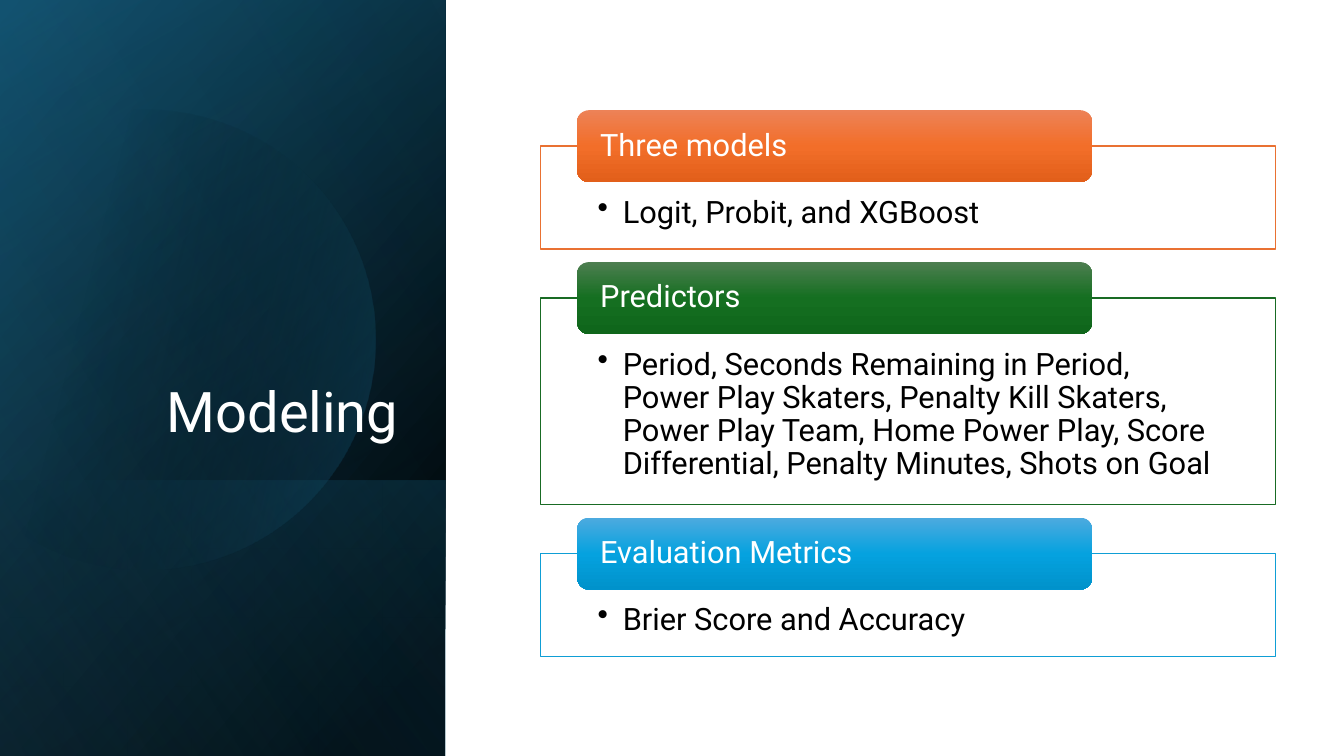
from dataclasses import dataclass
from math import cos, radians, sin, tan

from lxml.etree import SubElement
from pptx import Presentation
from pptx.dml.color import RGBColor
from pptx.enum.shapes import MSO_SHAPE
from pptx.enum.text import MSO_ANCHOR, PP_ALIGN
from pptx.oxml.ns import qn
from pptx.util import Pt


@dataclass(frozen=True)
class Theme:
    font: str = "Roboto"
    title_size: float = 40
    body_size: float = 22
    white: str = "FFFFFF"
    black: str = "000000"
    deep_blue: str = "104862"
    blue: str = "156082"
    sky: str = "46B1E1"


@dataclass(frozen=True)
class Stop:
    position: int
    color: str
    opacity: int = 100


@dataclass(frozen=True)
class Gradient:
    angle: int
    stops: tuple[Stop, ...]


@dataclass(frozen=True)
class Wash:
    top: float
    bottom: float
    gradient: Gradient


@dataclass(frozen=True)
class Section:
    heading: str
    detail: str
    height: float
    line: str
    shades: tuple[str, str, str]


THEME = Theme()
SLIDE_WIDTH, SLIDE_HEIGHT = 960, 540
SIDEBAR_WIDTH = 318.24
PANEL_LEFT, PANEL_WIDTH, PANEL_GAP, FIRST_PANEL_TOP = 385.9, 525.2, 34.9, 104.4
LABEL_LEFT, LABEL_WIDTH, LABEL_HEIGHT = 412.2, 368, 51.4
CIRCLE_X, CIRCLE_Y, CIRCLE_RADIUS = 104, 242.5, 164
ARC_START, ARC_STEP, ARC_COUNT = -134, 67, 4

BASE_WASHES = (
    Wash(0, SLIDE_HEIGHT, Gradient(50, (Stop(8, THEME.black), Stop(100, THEME.deep_blue)))),
    Wash(0, SLIDE_HEIGHT, Gradient(30, (Stop(0, THEME.black, 0), Stop(99, THEME.blue, 46)))),
    Wash(343, SLIDE_HEIGHT, Gradient(130, (Stop(2, THEME.blue, 29), Stop(100, THEME.black, 30)))),
)
CIRCLE_GRADIENT = Gradient(14, (Stop(29, THEME.black, 0), Stop(100, THEME.blue, 43)))
TOP_WASH = Wash(0, SLIDE_HEIGHT, Gradient(120, (Stop(0, THEME.black, 0), Stop(99, THEME.sky, 11))))

SECTIONS = (
    Section("Three models", "Logit, Probit, and XGBoost", 73.6,
            "E97132", ("ED8257", "F26E29", "E25F1A")),
    Section("Predictors",
            "Period, Seconds Remaining in Period, Power Play Skaters, "
            "Penalty Kill Skaters, Power Play Team, Home Power Play, "
            "Score Differential, Penalty Minutes, Shots on Goal", 147.6,
            "196B24", ("4D7E50", "156F21", "0F661B")),
    Section("Evaluation Metrics", "Brier Score and Accuracy", 73.6,
            "0F9ED5", ("4CAADF", "05A2DF", "0092CB")),
)


def set_opacity(color_element, opacity: int) -> None:
    SubElement(color_element, qn("a:alpha"), val=str(opacity * 1000))


def fill_gradient(shape, gradient: Gradient) -> None:
    shape.shadow.inherit = False
    shape.line.fill.background()
    shape.fill.gradient()
    shape.fill.gradient_angle = 360 - gradient.angle
    stop_list = shape._element.spPr.find(".//" + qn("a:gsLst"))
    for default_stop in list(stop_list):
        stop_list.remove(default_stop)
    for stop in gradient.stops:
        entry = SubElement(stop_list, qn("a:gs"), pos=str(stop.position * 1000))
        color = SubElement(entry, qn("a:srgbClr"), val=stop.color)
        if stop.opacity < 100:
            set_opacity(color, stop.opacity)


def write_text(shape, text: str, size: float, color: str, anchor: MSO_ANCHOR,
               align: PP_ALIGN, insets: tuple[float, float, float, float]):
    frame = shape.text_frame
    frame.word_wrap = True
    frame.vertical_anchor = anchor
    frame.margin_left, frame.margin_top, frame.margin_right, frame.margin_bottom = map(Pt, insets)
    para = frame.paragraphs[0]
    para.text = text
    para.alignment = align
    para.line_spacing = 0.9
    para.font.name = THEME.font
    para.font.size = Pt(size)
    para.font.color.rgb = RGBColor.from_string(color)
    return para


def add_bullet(para) -> None:
    properties = para._p.get_or_add_pPr()
    properties.set("marL", str(Pt(18)))
    properties.set("indent", str(Pt(-18)))
    bullet = properties.makeelement(qn("a:buChar"), {"char": "•"})
    properties.find(qn("a:defRPr")).addprevious(bullet)
    span = para.runs[0]
    span.font.name = THEME.font
    span.font.size = Pt(THEME.body_size)


def add_wash(page, wash: Wash) -> None:
    length = wash.bottom - wash.top
    left = (SIDEBAR_WIDTH - length) / 2
    top = (wash.top + wash.bottom - SIDEBAR_WIDTH) / 2
    band = page.shapes.add_shape(MSO_SHAPE.RECTANGLE, Pt(left), Pt(top), Pt(length), Pt(SIDEBAR_WIDTH))
    band.rotation = 90
    band._element.spPr.find(qn("a:xfrm")).set("flipH", "1")
    fill_gradient(band, wash.gradient)


def circle_point(degrees: float, pull: float = 0) -> tuple[int, int]:
    angle = radians(degrees)
    x = CIRCLE_X + CIRCLE_RADIUS * (cos(angle) - pull * sin(angle))
    y = CIRCLE_Y + CIRCLE_RADIUS * (sin(angle) + pull * cos(angle))
    return Pt(x), Pt(y)


def add_circle(page) -> None:
    pull = 4 / 3 * tan(radians(ARC_STEP) / 4)
    builder = page.shapes.build_freeform(*circle_point(ARC_START))
    for index in range(ARC_COUNT):
        start = ARC_START + index * ARC_STEP
        end = start + ARC_STEP
        builder.add_line_segments(
            [circle_point(start, pull), circle_point(end, -pull), circle_point(end)],
            close=index == ARC_COUNT - 1)
    circle = builder.convert_to_shape()
    segments = circle._element.spPr.findall(".//" + qn("a:lnTo"))
    for first in range(0, len(segments), 3):
        curve = segments[first].makeelement(qn("a:cubicBezTo"), {})
        segments[first].addprevious(curve)
        for segment in segments[first:first + 3]:
            curve.append(segment[0])
            segment.getparent().remove(segment)
    fill_gradient(circle, CIRCLE_GRADIENT)


def add_title(page, text: str) -> None:
    box = page.shapes.add_textbox(Pt(46.1), Pt(132.5), Pt(245.5), Pt(188.6))
    write_text(box, text, THEME.title_size, THEME.white, MSO_ANCHOR.BOTTOM,
               PP_ALIGN.RIGHT, (7.2, 3.6, 7.2, 3.6))


def add_section(page, section: Section, top: float) -> None:
    panel = page.shapes.add_shape(MSO_SHAPE.RECTANGLE, Pt(PANEL_LEFT), Pt(top),
                                  Pt(PANEL_WIDTH), Pt(section.height))
    panel.shadow.inherit = False
    panel.fill.solid()
    panel.fill.fore_color.rgb = RGBColor.from_string(THEME.white)
    set_opacity(panel._element.spPr.find(qn("a:solidFill"))[0], 90)
    panel.line.color.rgb = RGBColor.from_string(section.line)
    panel.line.width = Pt(1)
    add_bullet(write_text(panel, section.detail, THEME.body_size, THEME.black,
                          MSO_ANCHOR.TOP, PP_ALIGN.LEFT, (41, 36, 41, 12.2)))

    label = page.shapes.add_shape(MSO_SHAPE.ROUNDED_RECTANGLE, Pt(LABEL_LEFT), Pt(top - LABEL_HEIGHT / 2),
                                  Pt(LABEL_WIDTH), Pt(LABEL_HEIGHT))
    stops = tuple(Stop(50 * index, shade) for index, shade in enumerate(section.shades))
    fill_gradient(label, Gradient(90, stops))
    write_text(label, section.heading, THEME.body_size, THEME.white,
               MSO_ANCHOR.MIDDLE, PP_ALIGN.LEFT, (14, 0, 14, 0))


def main() -> None:
    deck = Presentation()
    deck.slide_width, deck.slide_height = Pt(SLIDE_WIDTH), Pt(SLIDE_HEIGHT)
    page = deck.slides.add_slide(deck.slide_layouts[6])
    for wash in BASE_WASHES:
        add_wash(page, wash)
    add_circle(page)
    add_wash(page, TOP_WASH)
    add_title(page, "Modeling")
    top = FIRST_PANEL_TOP
    for section in SECTIONS:
        add_section(page, section, top)
        top += section.height + PANEL_GAP
    deck.save("out.pptx")


if __name__ == "__main__":
    main()
